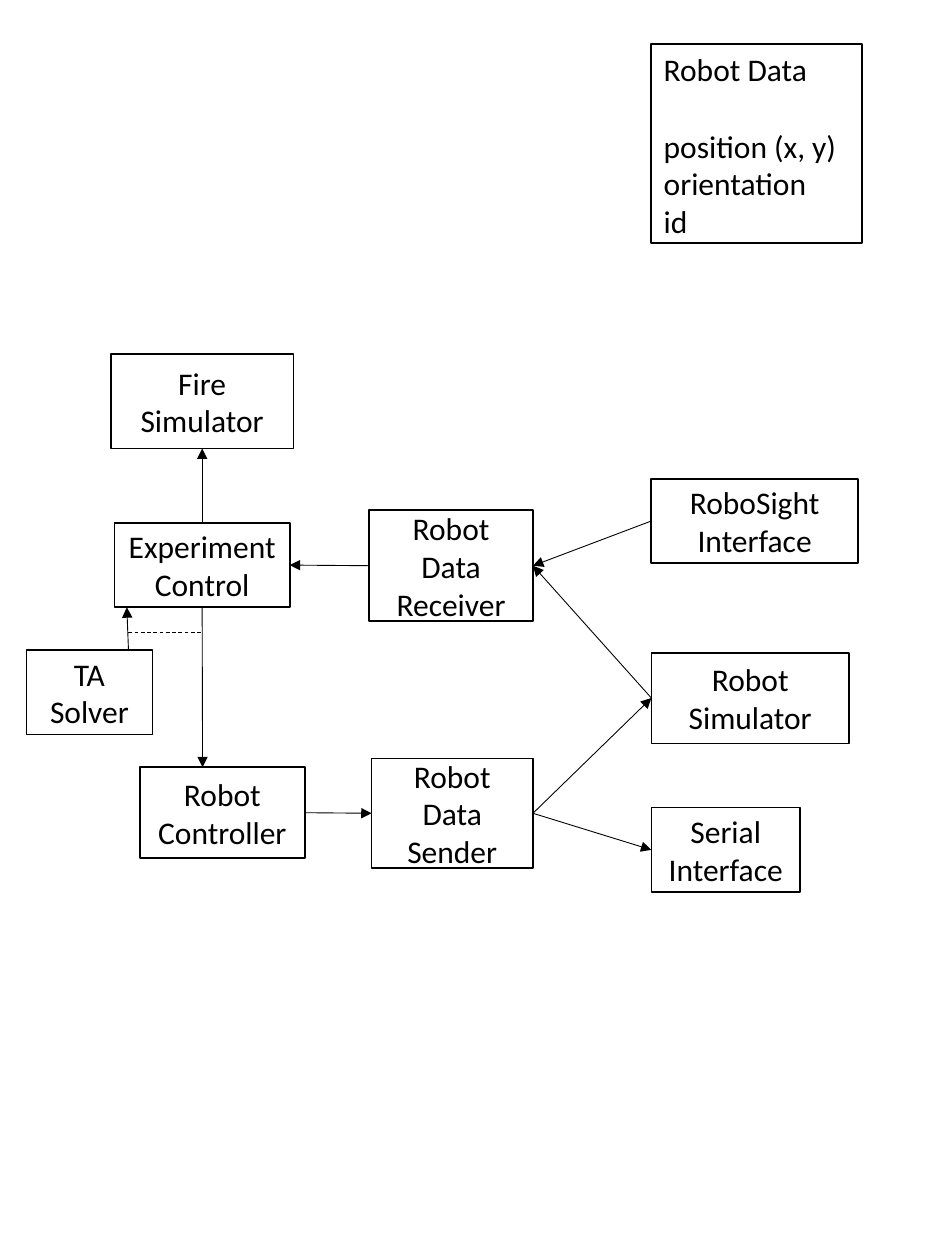
from dataclasses import dataclass

from lxml import etree
from pptx import Presentation, util as u
from pptx.dml.color import RGBColor
from pptx.enum import dml, shapes, text
from pptx.oxml.ns import qn

COLORS = {"paper": "FFFFFF", "ink": "000000"}
FONT = "Calibri"
SITES = {"top": 0, "left": 1, "bottom": 2, "right": 3}
RIGHT_COLUMN = 68.93


@dataclass
class Block:
    label: str
    left: float
    top: float
    width: float
    height: float

    def point(self, side: str, share: float) -> tuple[float, float]:
        if side in ("top", "bottom"):
            return self.left + share * self.width, self.top + (side == "bottom") * self.height
        return self.left + (side == "right") * self.width, self.top + share * self.height


@dataclass
class Flow:
    source: str
    source_side: str
    target: str
    target_side: str
    source_share: float = 0.5
    target_share: float = 0.5


BLOCKS = [
    Block("Experiment Control", 12.13, 41.5, 18.53, 6.7),
    Block("Fire Simulator", 11.73, 28.1, 19.33, 7.5),
    Block("Robot Simulator", RIGHT_COLUMN, 51.8, 20.93, 7.2),
    Block("RoboSight Interface", RIGHT_COLUMN, 38, 21.87, 6.7),
    Block("Serial Interface", RIGHT_COLUMN, 64.1, 15.73, 6.7),
    Block("TA Solver", 2.8, 51.6, 13.33, 6.7),
    Block("Robot Controller", 14.8, 60.9, 17.47, 7.2),
    Block("Robot Data Receiver", 39.07, 40.5, 17.33, 8.8),
    Block("Robot Data Sender", 39.33, 60.2, 17.07, 8.7),
]
FLOWS = [
    Flow("RoboSight Interface", "left", "Robot Data Receiver", "right"),
    Flow("Robot Simulator", "left", "Robot Data Receiver", "right"),
    Flow("Robot Data Receiver", "left", "Experiment Control", "right"),
    Flow("Experiment Control", "top", "Fire Simulator", "bottom"),
    Flow("Robot Data Sender", "right", "Robot Simulator", "left"),
    Flow("Robot Data Sender", "right", "Serial Interface", "left"),
    Flow("TA Solver", "top", "Experiment Control", "bottom", 0.81, 0.07),
    Flow("Experiment Control", "bottom", "Robot Controller", "top", 0.5, 0.38),
    Flow("Robot Controller", "right", "Robot Data Sender", "left"),
]
ROBOT_DATA = Block("Robot Data", RIGHT_COLUMN, 3.5, 22.27, 15.8)
ROBOT_FIELDS = ["position (x, y)", "orientation", "id"]

deck = Presentation()
deck.slide_width, deck.slide_height = u.Inches(7.5), u.Inches(10)
slide = deck.slides.add_slide(deck.slide_layouts[6])


def color(name: str) -> RGBColor:
    return RGBColor.from_string(COLORS[name])


def across(percent: float) -> int:
    return round(deck.slide_width * percent / 100)


def down(percent: float) -> int:
    return round(deck.slide_height * percent / 100)


def add_words(paragraph, words: str, alignment) -> None:
    paragraph.alignment = alignment
    run = paragraph.add_run()
    run.text = words
    run.font.name = FONT
    run.font.size = u.Pt(18)
    run.font.color.rgb = color("ink")


def draw_block(block: Block, alignment=text.PP_ALIGN.CENTER, anchor=text.MSO_ANCHOR.MIDDLE):
    box = slide.shapes.add_shape(
        shapes.MSO_SHAPE.FLOWCHART_PROCESS,
        across(block.left), down(block.top), across(block.width), down(block.height))
    box.shadow.inherit = False
    box.fill.solid()
    box.fill.fore_color.rgb = color("paper")
    box.line.color.rgb = color("ink")
    box.line.width = u.Pt(1)
    box.text_frame.word_wrap = True
    box.text_frame.vertical_anchor = anchor
    add_words(box.text_frame.paragraphs[0], block.label, alignment)
    return box


def draw_line(start: tuple[float, float], end: tuple[float, float], arrow: bool = True):
    line = slide.shapes.add_connector(
        shapes.MSO_CONNECTOR.STRAIGHT,
        across(start[0]), down(start[1]), across(end[0]), down(end[1]))
    line.line.color.rgb = color("ink")
    line.line.width = u.Pt(0.5)
    if arrow:
        etree.SubElement(line.line._get_or_add_ln(), qn("a:tailEnd"), type="triangle")
    else:
        line.line.dash_style = dml.MSO_LINE.DASH
    etree.SubElement(line._element.spPr, qn("a:effectLst"))
    return line


def draw_flow(flow: Flow) -> None:
    arrow = draw_line(
        by_label[flow.source].point(flow.source_side, flow.source_share),
        by_label[flow.target].point(flow.target_side, flow.target_share))
    if flow.source_share == 0.5:
        arrow.begin_connect(drawn[flow.source], SITES[flow.source_side])
    if flow.target_share == 0.5:
        arrow.end_connect(drawn[flow.target], SITES[flow.target_side])


by_label = {block.label: block for block in BLOCKS}
drawn = {block.label: draw_block(block) for block in BLOCKS}
for flow in FLOWS:
    draw_flow(flow)
draw_line((13.6, 50.2), (21.4, 50.2), arrow=False)

robot_data = draw_block(ROBOT_DATA, text.PP_ALIGN.LEFT, text.MSO_ANCHOR.TOP)
for index, field_name in enumerate(ROBOT_FIELDS):
    field_line = robot_data.text_frame.add_paragraph()
    if index == 0:
        field_line.space_before = u.Pt(22)
    add_words(field_line, field_name, text.PP_ALIGN.LEFT)

deck.save("out.pptx")
